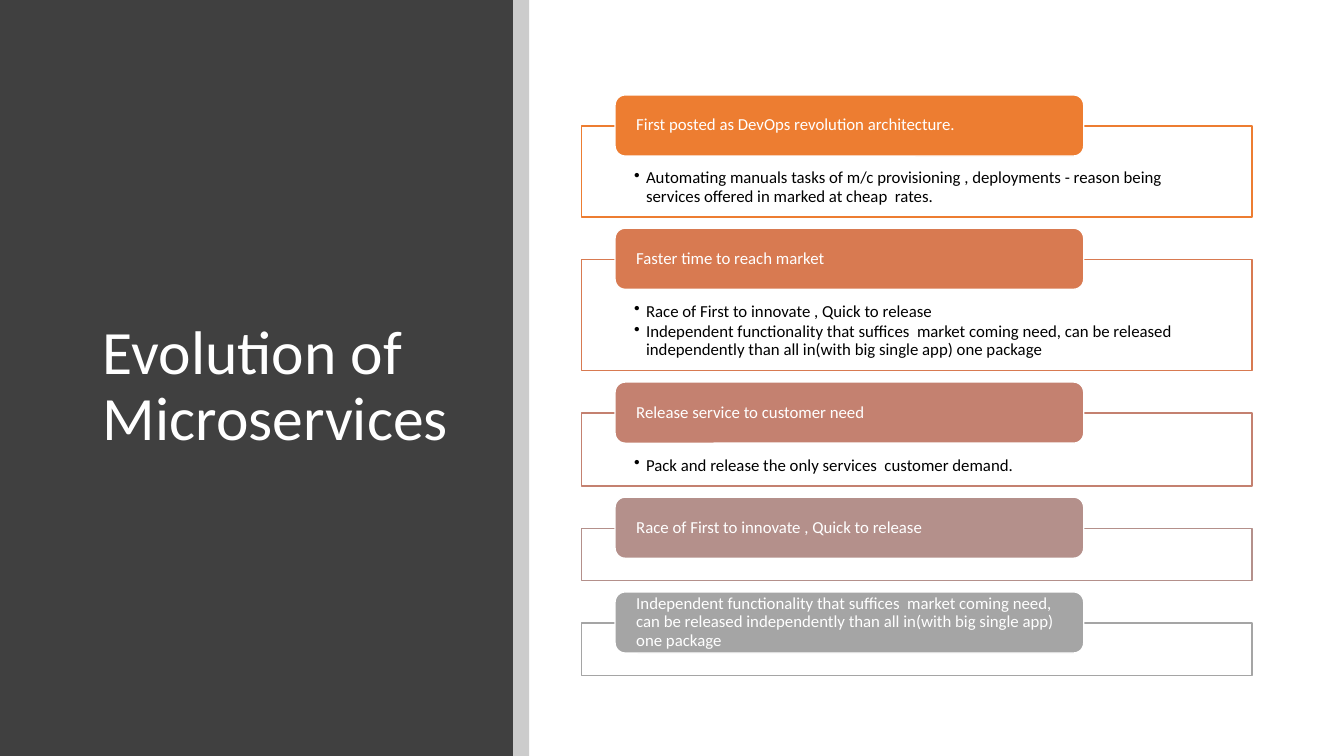
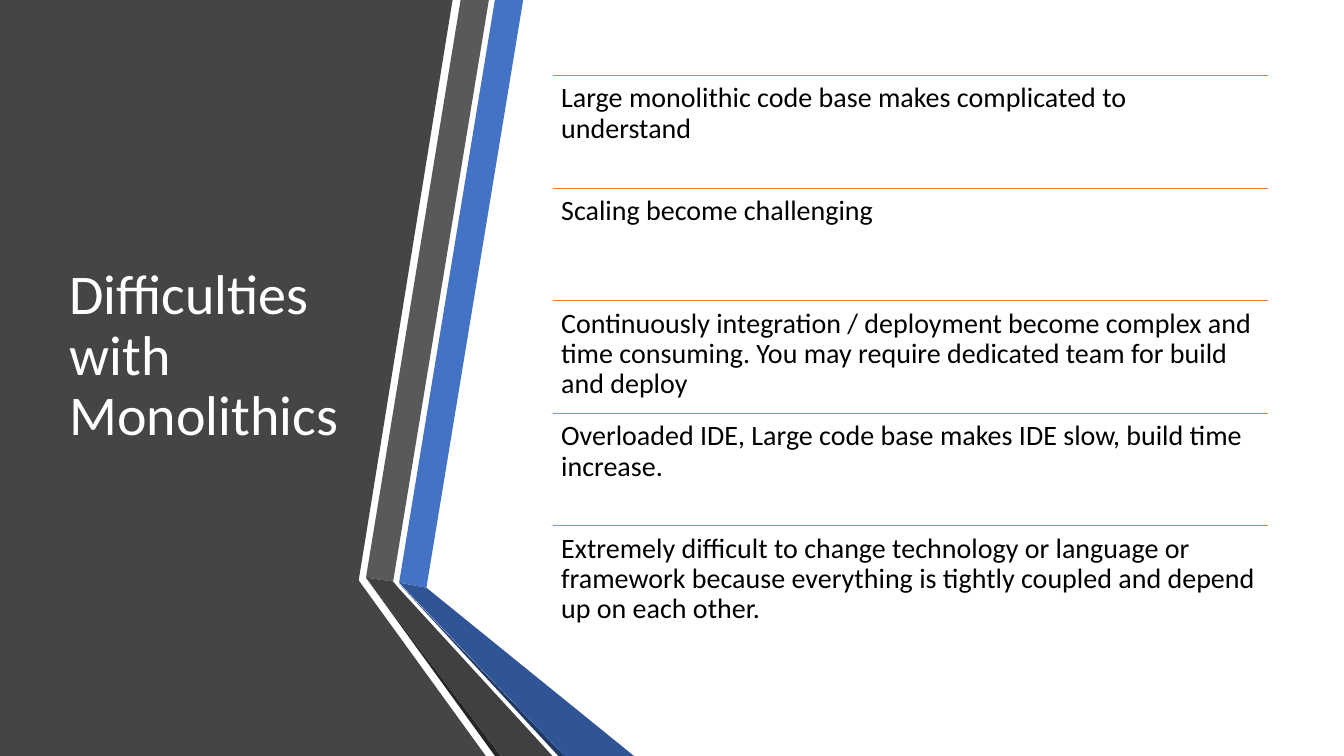
from dataclasses import dataclass

from lxml.etree import SubElement
from pptx import Presentation
from pptx.dml.color import RGBColor
from pptx.enum.shapes import MSO_CONNECTOR, MSO_SHAPE
from pptx.enum.text import MSO_ANCHOR as Anchor, MSO_AUTO_SIZE as AutoSize, PP_ALIGN as Align
from pptx.oxml.ns import qn
from pptx.util import Pt

SLIDE_WIDTH, SLIDE_HEIGHT = 960, 540
FONT = "Calibri"
WHITE, BLACK, ORANGE = "FFFFFF", "000000", "ED7D31"
CHARCOAL, SILVER = "404040", "CCCCCC"
LINE_SPACING = 0.9

CARD_LEFT, CARD_TOP, CARD_WIDTH, CARD_GAP = 415.5, 90, 478.7, 30.2
TAB_LEFT, TAB_WIDTH, TAB_HEIGHT, TAB_RISE = 439.3, 334.8, 43.7, 22.2
BULLET_INDENT = 8.6

ROW_LEFT, ROW_TOP, ROW_WIDTH, ROW_HEIGHT = 394.8, 53.8, 511, 80.45


@dataclass(frozen=True)
class Box:
    left: float
    top: float
    width: float
    height: float

    def lengths(self) -> tuple:
        return Pt(self.left), Pt(self.top), Pt(self.width), Pt(self.height)


@dataclass(frozen=True)
class TextStyle:
    size: float
    color: str
    insets: tuple = (7.2, 3.6, 7.2, 3.6)
    anchor: Anchor = Anchor.TOP
    space_after: float = 0
    bullet: bool = False


@dataclass(frozen=True)
class Card:
    color: str
    height: float
    heading: str
    bullets: tuple = ()


@dataclass(frozen=True)
class Facet:
    color: str
    points: tuple


TAB_STYLE = TextStyle(12, WHITE, (13, 0, 13, 0), Anchor.MIDDLE)
BULLET_STYLE = TextStyle(12, BLACK, (37.4, 31, 37.4, 6.5), space_after=1.8, bullet=True)
ROW_STYLE = TextStyle(20, BLACK, (6, 6, 6, 6))

INDEPENDENT = (
    "Independent functionality that suffices  market coming need, can be released "
    "independently than all in(with big single app) one package"
)
QUICK = "Race of First to innovate , Quick to release"

CARDS = (
    Card(ORANGE, 65, "First posted as DevOps revolution architecture.", (
        "Automating manuals tasks of m/c provisioning , deployments - reason being "
        "services offered in marked at cheap  rates.",)),
    Card("D87A51", 79.7, "Faster time to reach market", (QUICK, INDEPENDENT)),
    Card("C48170", 52, "Release service to customer need",
         ("Pack and release the only services  customer demand.",)),
    Card("B4908B", 37.5, QUICK),
    Card("A5A5A5", 37.5, INDEPENDENT),
)

FACETS = (
    Facet("454545", ((0, 0), (323.3, 0), (256.3, 414), (256.3, 414.7), (347, 540), (0, 540))),
    Facet("4472C4", ((285.1, 416.2), (304.6, 419.8), (373.7, 0), (353.5, 0))),
    Facet("595959", ((349.2, 0), (329, 0), (261.4, 412.6), (280.8, 415.4))),
    Facet("262626", ((261.4, 412.6), (353.5, 540), (357.8, 540))),
    Facet("203864", ((285.1, 416.9), (398.9, 540), (403.2, 540))),
    Facet("2F5597", ((285.1, 416.2), (403.2, 540), (452.9, 540), (304.6, 419.8))),
    Facet(CHARCOAL, ((394.6, 540), (284.4, 419.8), (280.8, 415.4), (261.4, 412.6), (357.8, 540))),
)

DIFFICULTIES = (
    "Large monolithic code base makes complicated to understand",
    "Scaling become challenging",
    "Continuously integration / deployment become complex and time consuming. "
    "You may require dedicated team for build and deploy",
    "Overloaded IDE, Large code base makes IDE slow, build time increase.",
    "Extremely difficult to change technology or language or framework because "
    "everything is tightly coupled and depend up on each other.",
)


def rgb(color: str) -> RGBColor:
    return RGBColor.from_string(color)


def paint(shape, fill: str, line: str | None = None) -> None:
    shape.shadow.inherit = False
    shape.fill.solid()
    shape.fill.fore_color.rgb = rgb(fill)
    if line is None:
        shape.line.fill.background()
    else:
        shape.line.color.rgb = rgb(line)
        shape.line.width = Pt(1)


def add_bullet(paragraph) -> None:
    properties = paragraph._p.get_or_add_pPr()
    properties.set("marL", str(Pt(BULLET_INDENT)))
    properties.set("indent", str(-Pt(BULLET_INDENT)))
    SubElement(properties, qn("a:buChar")).set("char", "•")


def write(shape, text: str, style: TextStyle) -> None:
    text_frame = shape.text_frame
    text_frame.text = text
    text_frame.word_wrap = True
    text_frame.auto_size = AutoSize.NONE
    text_frame.vertical_anchor = style.anchor
    (text_frame.margin_left, text_frame.margin_top,
     text_frame.margin_right, text_frame.margin_bottom) = map(Pt, style.insets)
    for paragraph in text_frame.paragraphs:
        paragraph.alignment = Align.LEFT
        paragraph.line_spacing = LINE_SPACING
        paragraph.space_before = Pt(0)
        paragraph.space_after = Pt(style.space_after)
        if style.bullet:
            add_bullet(paragraph)
        for run in paragraph.runs:
            run.font.name = FONT
            run.font.size = Pt(style.size)
            run.font.color.rgb = rgb(style.color)


def add_block(slide, kind: MSO_SHAPE, box: Box, fill: str, line: str | None = None):
    shape = slide.shapes.add_shape(kind, *box.lengths())
    paint(shape, fill, line)
    return shape


def add_title(slide, text: str, box: Box, size: float) -> None:
    """Place the title placeholder in front of the panel drawn so far."""
    title = slide.shapes.title
    title.left, title.top, title.width, title.height = box.lengths()
    write(title, text, TextStyle(size, WHITE, anchor=Anchor.MIDDLE))
    slide.shapes.element.append(title.element)


def add_card(slide, card: Card, top: float) -> None:
    body = add_block(slide, MSO_SHAPE.RECTANGLE,
                     Box(CARD_LEFT, top, CARD_WIDTH, card.height), WHITE, card.color)
    if card.bullets:
        write(body, "\n".join(card.bullets), BULLET_STYLE)
    tab = add_block(slide, MSO_SHAPE.ROUNDED_RECTANGLE,
                    Box(TAB_LEFT, top - TAB_RISE, TAB_WIDTH, TAB_HEIGHT), card.color, WHITE)
    write(tab, card.heading, TAB_STYLE)


def add_facet(slide, facet: Facet) -> None:
    start, *others = [(Pt(x), Pt(y)) for x, y in facet.points]
    builder = slide.shapes.build_freeform(*start)
    builder.add_line_segments(others, close=True)
    paint(builder.convert_to_shape(), facet.color)


def add_row(slide, text: str, top: float) -> None:
    rule = slide.shapes.add_connector(
        MSO_CONNECTOR.STRAIGHT, Pt(ROW_LEFT), Pt(top), Pt(ROW_LEFT + ROW_WIDTH), Pt(top))
    rule.line.color.rgb = rgb(ORANGE)
    rule.line.width = Pt(0.5)
    SubElement(rule.element.spPr, qn("a:effectLst"))
    box = Box(ROW_LEFT, top, ROW_WIDTH, ROW_HEIGHT)
    write(slide.shapes.add_textbox(*box.lengths()), text, ROW_STYLE)


def build_evolution(slide) -> None:
    add_block(slide, MSO_SHAPE.RECTANGLE, Box(0, 0, 366.5, SLIDE_HEIGHT), CHARCOAL)
    add_block(slide, MSO_SHAPE.RECTANGLE, Box(366.5, 0, 11.5, SLIDE_HEIGHT), SILVER)
    add_title(slide, "Evolution of Microservices", Box(66.2, 64, 263, 425.5), 44)
    top = CARD_TOP
    for card in CARDS:
        add_card(slide, card, top)
        top += card.height + CARD_GAP


def build_difficulties(slide) -> None:
    for facet in FACETS:
        add_facet(slide, facet)
    add_title(slide, "Difficulties with Monolithics", Box(42.5, 54, 219, 402), 40)
    for index, text in enumerate(DIFFICULTIES):
        add_row(slide, text, ROW_TOP + index * ROW_HEIGHT)


def main() -> None:
    presentation = Presentation()
    presentation.slide_width, presentation.slide_height = Pt(SLIDE_WIDTH), Pt(SLIDE_HEIGHT)
    title_only = presentation.slide_layouts[5]
    for build in (build_evolution, build_difficulties):
        build(presentation.slides.add_slide(title_only))
    presentation.save("out.pptx")


if __name__ == "__main__":
    main()
